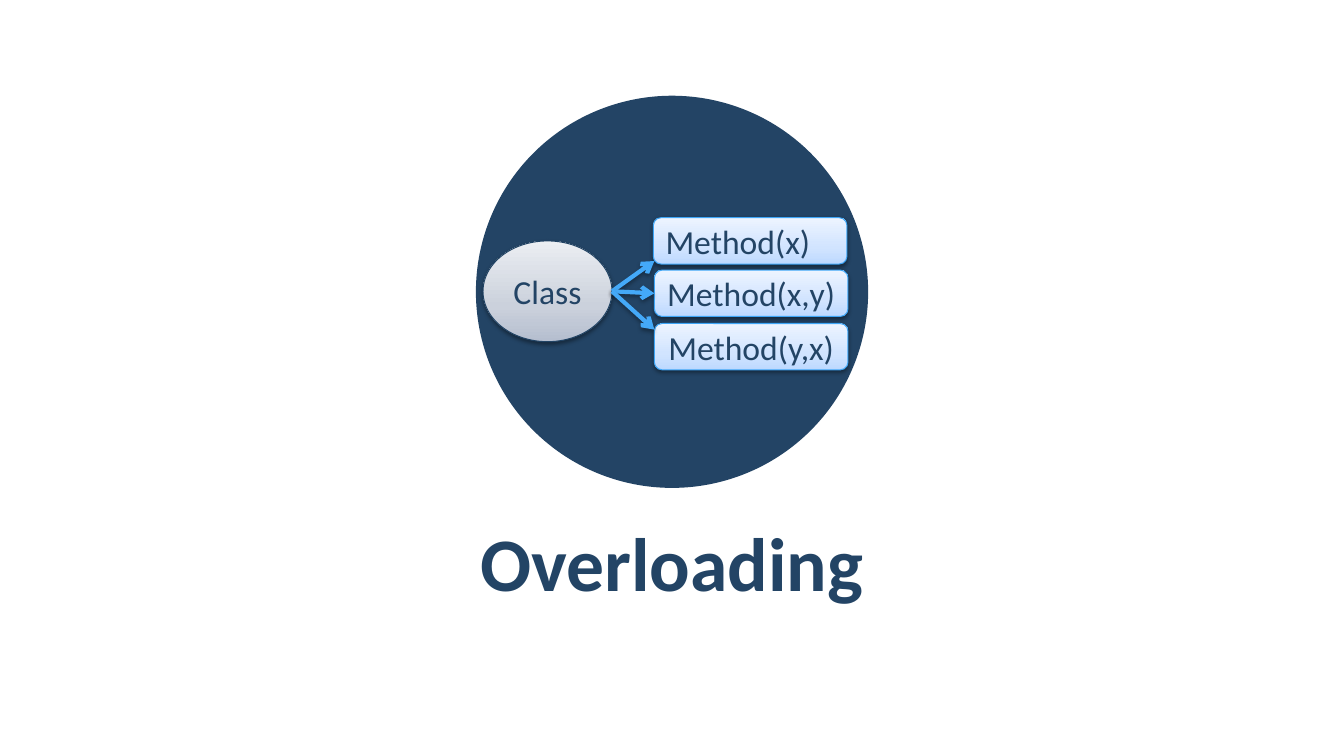
from lxml.etree import SubElement as Sub
from pptx import Presentation
from pptx.dml.color import RGBColor as Rgb
from pptx.enum.shapes import MSO_CONNECTOR as Conn, MSO_SHAPE as Shape
from pptx.enum.text import MSO_ANCHOR as Anchor, PP_ALIGN as Align
from pptx.oxml.ns import qn
from pptx.util import Inches, Pt

NAVY = Rgb(0x23, 0x44, 0x65)
EDGE = Rgb(0x21, 0x43, 0x64)
BLUE = Rgb(0x3E, 0xA6, 0xF7)
SKY = Rgb(0x44, 0xA9, 0xF8)
GREYS = [Rgb(0xB5, 0xBE, 0xCF), Rgb(0xCB, 0xD1, 0xDC), Rgb(0xEB, 0xEE, 0xF2)]
BLUES = [Rgb(0xBD, 0xD9, 0xFF), Rgb(0xD1, 0xE4, 0xFF), Rgb(0xED, 0xF4, 0xFF)]
STOPS = [0, 35, 100]


class Board:
    font = "Calibri"

    def __init__(self, deck):
        self.slide = deck.slides.add_slide(deck.slide_layouts[5])
        self.shapes = self.slide.shapes

    def label(self, frame, text, size, align, bold=False):
        frame.text = text
        frame.vertical_anchor = Anchor.MIDDLE
        para = frame.paragraphs[0]
        para.alignment = align
        font = para.font
        font.name, font.size, font.bold = self.font, Pt(size), bold
        font.color.rgb = NAVY

    def title(self, text, *box):
        title = self.shapes.title
        title.left, title.top, title.width, title.height = map(Inches, box)
        frame = title.text_frame
        frame.margin_left = frame.margin_right = Inches(0.12)
        frame.margin_top = frame.margin_bottom = Inches(0.04)
        self.label(frame, text, 54, Align.CENTER, True)

    def disc(self, *box):
        disc = self.shapes.add_shape(Shape.OVAL, *map(Inches, box))
        disc.shadow.inherit = False
        disc.fill.solid()
        disc.fill.fore_color.rgb = NAVY
        disc.line.fill.background()

    def shade(self, effects, dist, alpha):
        shade = Sub(effects, qn("a:outerShdw"), blurRad=str(Pt(3.1)),
                    dist=str(Pt(dist)), dir="5400000", rotWithShape="0")
        color = Sub(shade, qn("a:srgbClr"), val="000000")
        Sub(color, qn("a:alpha"), val=str(alpha * 1000))

    def node(self, kind, text, box, tones, edge, align=Align.CENTER):
        node = self.shapes.add_shape(kind, *map(Inches, box))
        node.fill.gradient()
        node.fill.gradient_angle = 90
        stops = node._element.spPr.find(qn("a:gradFill")).find(qn("a:gsLst"))
        stops.clear()
        for stop, tone in zip(STOPS, tones):
            mark = Sub(stops, qn("a:gs"), pos=str(stop * 1000))
            Sub(mark, qn("a:srgbClr"), val=str(tone))
        node.line.color.rgb = edge
        node.line.width = Pt(0.75)
        node.shadow.inherit = False
        self.shade(node._element.spPr.find(qn("a:effectLst")), 1.6, 38)
        node.text_frame.word_wrap = align == Align.LEFT
        self.label(node.text_frame, text, 24, align)
        return node

    def arrow(self, start, end, goal=None):
        arrow = self.shapes.add_connector(
            Conn.STRAIGHT, *map(Inches, start + end))
        if goal is not None:
            arrow.end_connect(goal, 1)
        arrow.line.color.rgb = SKY
        arrow.line.width = Pt(3)
        props = arrow._element.spPr
        Sub(props.find(qn("a:ln")), qn("a:tailEnd"), type="arrow")
        self.shade(Sub(props, qn("a:effectLst")), 1.8, 35)


def main():
    deck = Presentation()
    deck.slide_width, deck.slide_height = Inches(13.33), Inches(7.5)
    board = Board(deck)
    board.disc(4.72, 0.95, 3.89, 3.89)
    board.title("Overloading", 0.67, 5.15, 11.99, 0.84)
    board.node(Shape.OVAL, "Class", (4.79, 2.39, 1.28, 1), GREYS, EDGE)

    cards = []
    for text, left, top, align in [
        ("Method(x)", 6.48, 2.16, Align.LEFT),
        ("Method(x,y)", 6.49, 2.68, Align.CENTER),
        ("Method(y,x)", 6.49, 3.21, Align.CENTER),
    ]:
        cards.append(board.node(Shape.ROUNDED_RECTANGLE, text,
                                (left, top, 1.92, 0.46), BLUES, BLUE, align))

    for y, goal in [(2.59, None), (2.91, cards[1]), (3.27, None)]:
        board.arrow((6.07, 2.89), (6.49, y), goal)
    deck.save("out.pptx")


if __name__ == "__main__":
    main()
